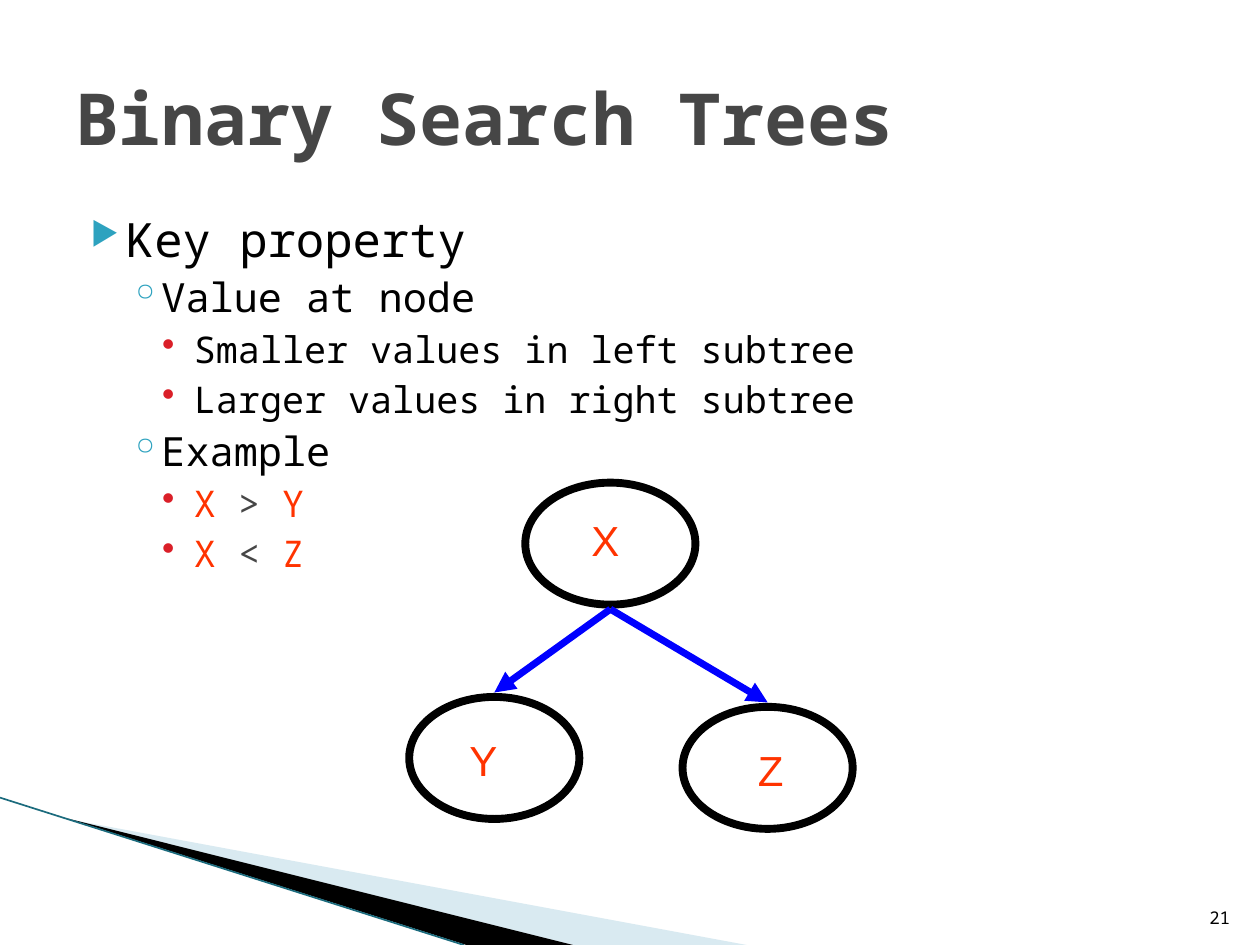
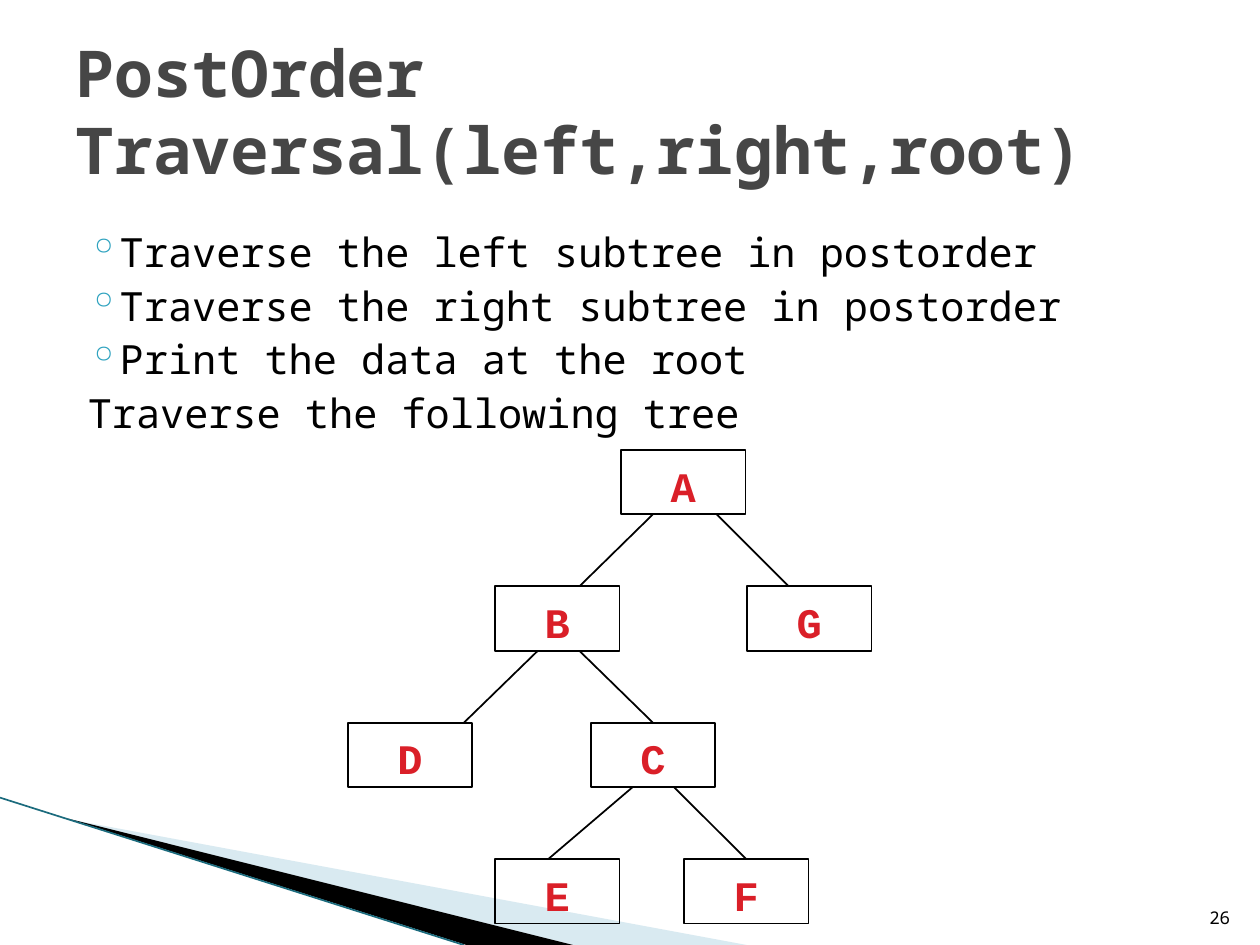
from lxml.etree import SubElement
from pptx import Presentation
from pptx.dml.color import RGBColor
from pptx.enum.shapes import MSO_CONNECTOR, MSO_SHAPE
from pptx.enum.text import MSO_ANCHOR, MSO_AUTO_SIZE, PP_ALIGN
from pptx.oxml.ns import qn
from pptx.util import Cm, Pt

BLACK = RGBColor(0x00, 0x00, 0x00)
GRAY = RGBColor(0x46, 0x46, 0x46)
ORANGE = RGBColor(0xFF, 0x33, 0x00)
RED = RGBColor(0xDA, 0x1F, 0x28)
TEAL = RGBColor(0x2D, 0xA2, 0xBF)
DARK_TEAL = RGBColor(0x1B, 0x6B, 0x7D)
PALE_BLUE = RGBColor(0xA0, 0xCB, 0xDC)
BLUE = RGBColor(0x00, 0x00, 0xFF)

MONO = "Noto Sans Mono"
WIDTH, HEIGHT = 25.4, 19.05

OUTLINE = [
    {"size": 27, "before": 4, "left": 1.02, "hanging": 0.71, "bullet": "▶", "color": TEAL, "percent": 68},
    {"size": 23, "before": 3.2, "left": 1.73, "hanging": 0.64, "bullet": "◦", "color": TEAL, "percent": 100},
    {"size": 21, "before": 3.5, "left": 2.39, "hanging": 0.64, "bullet": "•", "color": RED, "percent": 100},
]


def apply_format(target, values):
    """Set each attribute of the target from a dict of values."""
    for attribute, value in values.items():
        setattr(target, attribute, value)


def add_run(paragraph, text, size, color, name=MONO, bold=False):
    """Add one formatted run to a paragraph."""
    run = paragraph.add_run()
    run.text = text
    apply_format(run.font, {"size": Pt(size), "name": name, "bold": bold})
    run.font.color.rgb = color


def add_text_frame(slide, box, **values):
    """Add a wrapping text box and return its text frame."""
    frame = slide.shapes.add_textbox(*map(Cm, box)).text_frame
    apply_format(frame, {"word_wrap": True, **values})
    return frame


def add_line(slide, start, end, color, weight, arrow=False):
    """Draw a shadowless straight connector, with an arrowhead if asked."""
    line = slide.shapes.add_connector(MSO_CONNECTOR.STRAIGHT, *map(Cm, (*start, *end)))
    line.line.color.rgb = color
    line.line.width = Pt(weight)
    if arrow:
        SubElement(line.line._get_or_add_ln(), qn("a:tailEnd"), type="triangle")
    SubElement(line._element.spPr, qn("a:effectLst"))
    return line


def add_node(slide, kind, box, weight):
    """Add an unfilled black-outlined tree node."""
    node = slide.shapes.add_shape(kind, *map(Cm, box))
    node.shadow.inherit = False
    node.fill.background()
    node.line.color.rgb = BLACK
    node.line.width = Pt(weight)
    return node


def add_wedge(slide, corners, color, opacity=100):
    """Draw one filled triangle of the corner band."""
    first, *others = [(Cm(x), Cm(y)) for x, y in corners]
    builder = slide.shapes.build_freeform(*first)
    builder.add_line_segments(others)
    wedge = builder.convert_to_shape()
    wedge.shadow.inherit = False
    wedge.fill.solid()
    wedge.fill.fore_color.rgb = color
    wedge.line.fill.background()
    if opacity < 100:
        tint = wedge._element.spPr.find(".//" + qn("a:srgbClr"))
        SubElement(tint, qn("a:alpha"), val=str(opacity * 1000))


def add_corner_band(slide):
    """Draw the band in the bottom left corner."""
    add_wedge(slide, [(1.4, 16.52), (15.05, HEIGHT), (11.55, HEIGHT)], PALE_BLUE, 40)
    add_wedge(slide, [(1.36, 16.5), (11.55, HEIGHT), (9.4, HEIGHT)], BLACK)
    add_line(slide, (0, 16.08), (9.35, HEIGHT), DARK_TEAL, 0.95)


def start_slide(deck, title, title_box, title_size, number):
    """Add a slide with its title, corner band and page number."""
    slide = deck.slides.add_slide(deck.slide_layouts[5])
    add_corner_band(slide)
    heading = slide.shapes.title
    sides = ("left", "top", "width", "height")
    apply_format(heading, dict(zip(sides, map(Cm, title_box))))
    apply_format(heading.text_frame, {"vertical_anchor": MSO_ANCHOR.MIDDLE,
                                      "word_wrap": True, "auto_size": MSO_AUTO_SIZE.NONE})
    paragraph = heading.text_frame.paragraphs[0]
    paragraph.alignment = PP_ALIGN.LEFT
    add_run(paragraph, title, title_size, GRAY, bold=True)
    page = add_text_frame(slide, (23.53, 17.81, 1.52, 1.02), vertical_anchor=MSO_ANCHOR.BOTTOM)
    page.paragraphs[0].alignment = PP_ALIGN.RIGHT
    add_run(page.paragraphs[0], str(number), 10, BLACK)
    return slide


def add_outline(slide, box, entries):
    """Write (level, bulleted, runs) entries as an indented outline."""
    frame = add_text_frame(slide, box)
    for index, (level, bulleted, runs) in enumerate(entries):
        style = OUTLINE[level]
        paragraph = frame.add_paragraph() if index else frame.paragraphs[0]
        paragraph.level = level
        if index:
            paragraph.space_before = Pt(style["before"])
        properties = paragraph._p.get_or_add_pPr()
        properties.set("marL", str(Cm(style["left"])))
        properties.set("indent", str(-Cm(style["hanging"])))
        if bulleted:
            tint = SubElement(properties, qn("a:buClr"))
            SubElement(tint, qn("a:srgbClr"), val=str(style["color"]))
            SubElement(properties, qn("a:buSzPct"), val=str(style["percent"] * 1000))
            SubElement(properties, qn("a:buChar"), char=style["bullet"])
        for text, color in runs:
            add_run(paragraph, text, style["size"], color)


def add_key_tree(slide, left, top):
    """Draw root X with its smaller child Y and larger child Z."""
    width, height, gap = 3.43, 2.46, 0.09
    nodes = {"X": (2.34, 0, -0.1, 0.51), "Y": (0, 4.32, -0.22, 0.64), "Z": (5.51, 4.52, 0.06, 0.64)}
    for key, (x, y, label_dx, label_dy) in nodes.items():
        add_node(slide, MSO_SHAPE.OVAL, (left + x, top + y, width, height), 4.5)
        label = add_text_frame(slide, (left + x + label_dx, top + y + label_dy, width, 1.27))
        label.paragraphs[0].alignment = PP_ALIGN.CENTER
        add_run(label.paragraphs[0], key, 24, ORANGE, "Arial")
    middle = left + width / 2
    root_x, root_y = nodes["X"][:2]
    for child in "ZY":
        x, y = nodes[child][:2]
        add_line(slide, (middle + root_x, top + root_y + height + gap),
                 (middle + x, top + y - gap), BLUE, 4, arrow=True)


def add_traversal_tree(slide, left, top):
    """Draw the four-row tree of lettered boxes."""
    width, height, pitch = 2.51, 1.3, 2.75
    places = {"A": (5.51, 0), "B": (2.97, 1), "G": (8.05, 1), "D": (0, 2),
              "C": (4.9, 2), "E": (2.97, 3), "F": (6.78, 3)}
    branches = [("A", 0.64, "B", 1.7), ("A", 1.93, "G", 0.84), ("B", 0.86, "D", 2.34),
                ("B", 1.7, "C", width / 2), ("C", 0.84, "E", 1.07), ("C", 1.68, "F", width / 2)]
    nodes = {}
    for key, (x, row) in places.items():
        node = add_node(slide, MSO_SHAPE.RECTANGLE, (left + x, top + row * pitch, width, height), 1)
        apply_format(node.text_frame, {"vertical_anchor": MSO_ANCHOR.BOTTOM, "margin_bottom": Cm(0.08)})
        node.text_frame.paragraphs[0].alignment = PP_ALIGN.CENTER
        add_run(node.text_frame.paragraphs[0], key, 24, RED, "Courier New", True)
        nodes[key] = node
    for parent, leave, child, enter in branches:
        (parent_x, parent_row), (child_x, child_row) = places[parent], places[child]
        branch = add_line(slide, (left + parent_x + leave, top + parent_row * pitch + height),
                          (left + child_x + enter, top + child_row * pitch), BLACK, 1)
        if enter == width / 2:
            branch.end_connect(nodes[child], 0)


def build_search_tree_slide(deck):
    """Build the slide on the key property of binary search trees."""
    slide = start_slide(deck, "Binary Search Trees", (1.27, 0.76, 22.86, 3.18), 41, 21)
    plain = [(0, "Key property"), (1, "Value at node"), (2, "Smaller values in left subtree"),
             (2, "Larger values in right subtree"), (1, "Example")]
    entries = [(level, True, [(text, BLACK)]) for level, text in plain]
    for sign, child in ((">", "Y"), ("<", "Z")):
        entries.append((2, True, [("X ", ORANGE), (sign, GRAY), (f" {child}", ORANGE)]))
    add_outline(slide, (1.27, 4.11, 22.86, 12.57), entries)
    add_key_tree(slide, 8.25, 9.73)


def build_postorder_slide(deck):
    """Build the slide on postorder traversal."""
    slide = start_slide(deck, "PostOrder Traversal(left,right,root)", (1.27, 1.27, 22.43, 1.9), 36.9, 26)
    steps = ["Traverse the left subtree in postorder", "Traverse the right subtree in postorder",
             "Print the data at the root"]
    entries = [(1, True, [(step, BLACK)]) for step in steps]
    entries.append((1, False, [("Traverse the following tree", BLACK)]))
    add_outline(slide, (0.43, 4.45, 24.56, 13.34), entries)
    add_traversal_tree(slide, 7.01, 9.07)


def main():
    """Build and save the deck."""
    deck = Presentation()
    apply_format(deck, {"slide_width": Cm(WIDTH), "slide_height": Cm(HEIGHT)})
    build_search_tree_slide(deck)
    build_postorder_slide(deck)
    deck.save("out.pptx")


if __name__ == "__main__":
    main()
